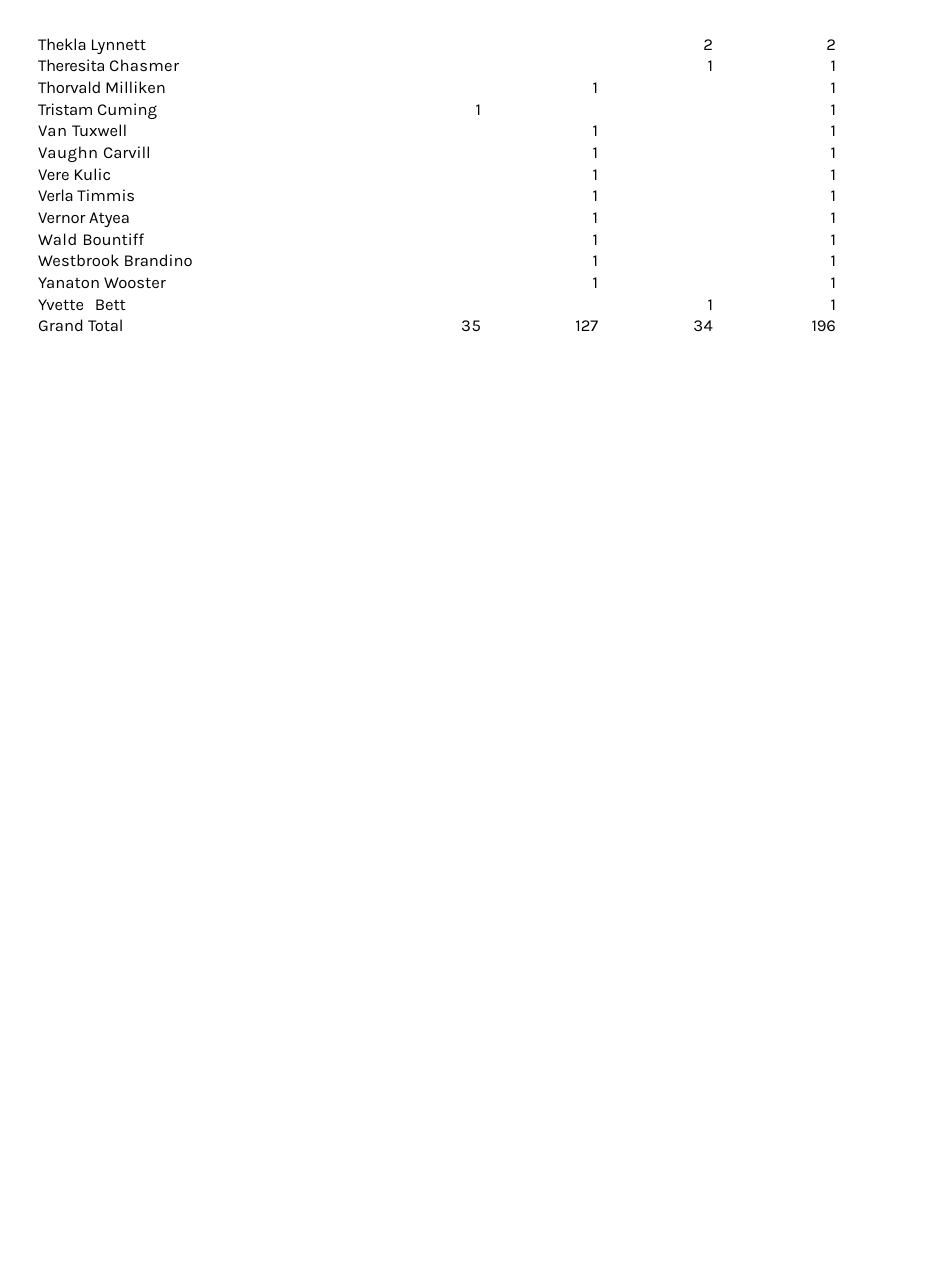
from lxml import etree
from pptx import Presentation, util as u
from pptx.dml.color import RGBColor
from pptx.enum import text
from pptx.oxml.ns import qn

# Content: name parts with letter spacing in points, then the four counts
PEOPLE = [
    ((("Thekla ", -0.4), ("Lynnett", -0.1)), ("", "", "2", "2")),
    ((("Theresita ", -0.5), ("Chasmer", 0.3)), ("", "", "1", "1")),
    ((("Thorvald ", -0.4), ("Milliken", -0.1)), ("", "1", "", "1")),
    ((("Tristam ", -0.5), ("Cuming", -0.1)), ("1", "", "", "1")),
    ((("Van ", 0.6), ("Tuxwell", -0.1)), ("", "1", "", "1")),
    ((("Vaughn ", 0.6), ("Carvill", -0.1)), ("", "1", "", "1")),
    ((("Vere Kulic", -0.2),), ("", "1", "", "1")),
    ((("Verla ", -0.5), ("Timmis", -0.1)), ("", "1", "", "1")),
    ((("Vernor ", -0.3), ("Atyea", -0.2)), ("", "1", "", "1")),
    ((("Wald ", 0.5), ("Bountiff", -0.1)), ("", "1", "", "1")),
    ((("Westbrook ", 0), ("Brandino", -0.1)), ("", "1", "", "1")),
    ((("Yanaton ", 0), ("Wooster", -0.1)), ("", "1", "", "1")),
    ((("Yvette\t", -0.1), ("Bett", -0.2)), ("", "", "1", "1")),
    ((("Grand ", 0), ("Total", -0.2)), ("35", "127", "34", "196")),
]
COUNT_SPACING = {"1": -0.5, "2": 0.8, "35": 0.8, "127": -0.2, "34": 0.6, "196": -0.2}

# Layout
COLUMN_WIDTHS = [4.94, 3.43, 2.04, 1.97, 1.3]
RIGHT_MARGINS = [0, 0.78, 0.82, 0.83, 0.03]
NAME_INDENT, TAB_STOP = 0.03, 0.97
END_HEIGHT, ROW_HEIGHT = 0.35, 0.37
FIRST_LEADING, LEADING = 23.1, 24.4


def color(value):
    return RGBColor.from_string(value)


def write(cell, parts, align, leading):
    line = cell.text_frame.paragraphs[0]
    line.alignment, line.line_spacing = align, u.Pt(leading)
    for words, spacing in parts:
        run = line.add_run()
        run.text = words
        for key, value in {"name": "Karla", "size": u.Pt(20.5)}.items():
            setattr(run.font, key, value)
        run.font.color.rgb = color("000000")
        run.font._element.set("spc", str(round(spacing * 100)))
        if "\t" in words:
            tabs = etree.SubElement(line._p.get_or_add_pPr(), qn("a:tabLst"))
            etree.SubElement(tabs, qn("a:tab"), pos=str(u.Inches(TAB_STOP)), algn="l")


def main():
    deck = Presentation()
    deck.slide_width, deck.slide_height = u.Inches(15.89), u.Inches(21.99)
    slide = deck.slides.add_slide(deck.slide_layouts[6])

    # Table grid
    last = len(PEOPLE) - 1
    heights = [END_HEIGHT if r in (0, last) else ROW_HEIGHT for r in range(last + 1)]
    table = slide.shapes.add_table(
        len(PEOPLE), len(COLUMN_WIDTHS), u.Inches(0.62), u.Inches(0.61),
        u.Inches(sum(COLUMN_WIDTHS)), u.Inches(sum(heights))).table
    table.first_row = table.horz_banding = False
    for column, width in zip(table.columns, COLUMN_WIDTHS):
        column.width = u.Inches(width)
    for row, height in zip(table.rows, heights):
        row.height = u.Inches(height)

    # Names and counts
    for r, (name, counts) in enumerate(PEOPLE):
        leading = LEADING if r else FIRST_LEADING
        for c, right in enumerate(RIGHT_MARGINS):
            cell = table.cell(r, c)
            cell.fill.background()
            margins = {"margin_left": 0 if c else NAME_INDENT, "margin_right": right,
                       "margin_top": 0, "margin_bottom": 0}
            for key, value in margins.items():
                setattr(cell, key, u.Inches(value))
            if c == 0:
                write(cell, name, text.PP_ALIGN.LEFT, leading)
            elif counts[c - 1]:
                count = counts[c - 1]
                write(cell, [(count, COUNT_SPACING[count])], text.PP_ALIGN.RIGHT, leading)

    deck.save("out.pptx")


if __name__ == "__main__":
    main()
